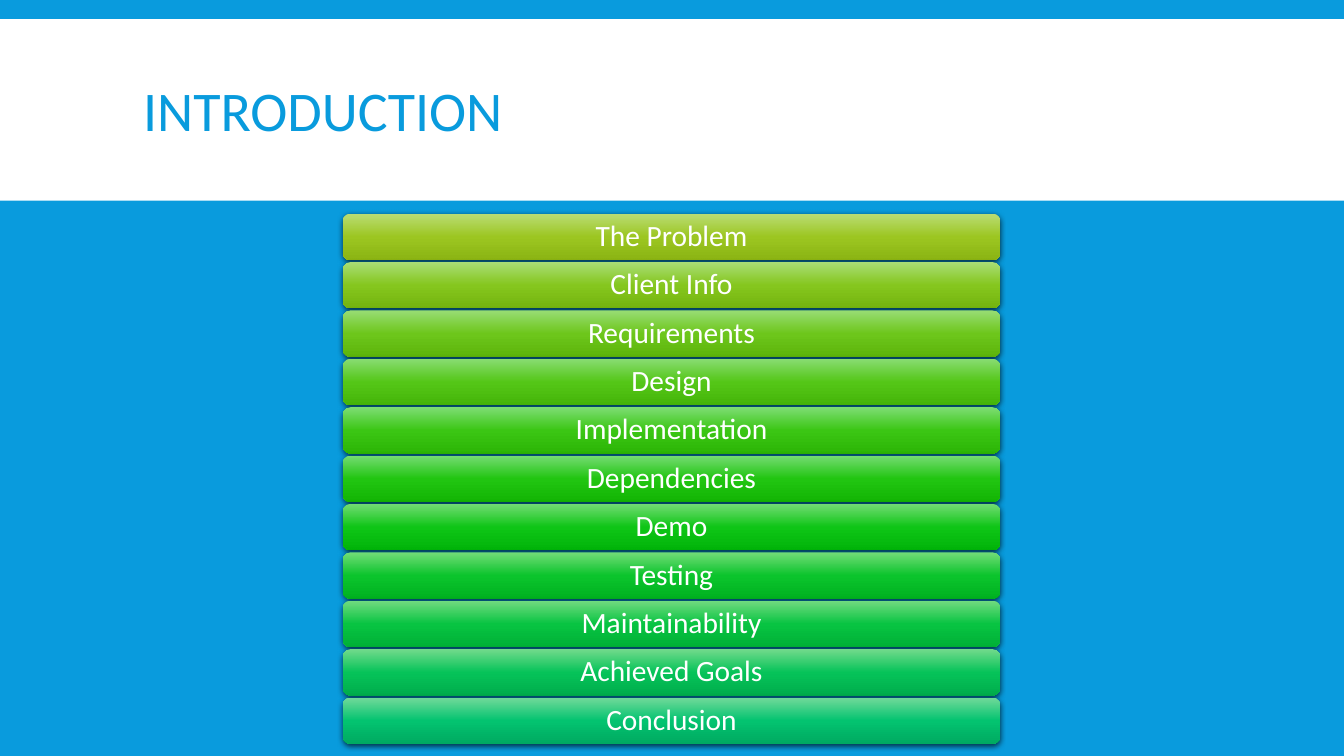
from dataclasses import dataclass

from lxml.etree import SubElement
from pptx import Presentation
from pptx.dml.color import RGBColor
from pptx.enum.shapes import MSO_SHAPE as SHAPE
from pptx.enum.text import MSO_ANCHOR as ANCHOR, PP_ALIGN as ALIGN
from pptx.oxml.ns import qn
from pptx.util import Inches, Pt


@dataclass(frozen=True)
class Theme:
    font: str = "Calibri"
    blue: str = "099BDD"
    white: str = "FFFFFF"
    shadow: str = "000000"
    title_size: int = 40
    bar_size: int = 21


THEME = Theme()
WIDTH, HEIGHT = 13.33, 7.5
PITCH = 0.48
BAR_SHARE = 0.96
TOPICS = [
    ("The Problem", ("BADD75", "9CC621", "8BB413")),
    ("Client Info", ("A9DD75", "85C61E", "74B40F")),
    ("Requirements", ("98DD74", "6DC61B", "5DB50C")),
    ("Design", ("89DD73", "54C617", "45B509")),
    ("Implementation", ("7DDD73", "3BC614", "2CB506")),
    ("Dependencies", ("75DC73", "21C511", "13B504")),
    ("Demo", ("72DC73", "0EC516", "01B409")),
    ("Testing", ("72DC78", "0BC42C", "00B220")),
    ("Maintainability", ("72DB80", "08C442", "00B036")),
    ("Achieved Goals", ("72DA8C", "06C359", "00AD4C")),
    ("Conclusion", ("72DA9A", "03C370", "00AA61")),
]


def place(sp, box):
    sp.left, sp.top, sp.width, sp.height = (Inches(v) for v in box)


def write(sp, text, *, size, color, align=ALIGN.LEFT, spacing=0.9, inset=(0.1, 0.05)):
    tf = sp.text_frame
    tf.word_wrap = True
    tf.vertical_anchor = ANCHOR.MIDDLE
    tf.margin_left = tf.margin_right = Inches(inset[0])
    tf.margin_top = tf.margin_bottom = Inches(inset[1])
    p = tf.paragraphs[0]
    p.alignment = align
    p.line_spacing = spacing
    r = p.add_run()
    r.text = text
    r.font.name = THEME.font
    r.font.size = Pt(size)
    r.font.color.rgb = RGBColor.from_string(color)


def add_block(s, shape, box):
    sp = s.shapes.add_shape(shape, *(Inches(v) for v in box))
    sp.line.fill.background()
    sp.shadow.inherit = False
    return sp


def fill_gradient(sp, colors):
    sp.fill.gradient()
    sp.fill.gradient_angle = 270
    stops = sp._element.spPr.find(".//" + qn("a:gsLst"))
    for gs in list(stops):
        stops.remove(gs)
    for i, color in enumerate(colors):
        gs = SubElement(stops, qn("a:gs"), pos=str(i * 50000))
        SubElement(gs, qn("a:srgbClr"), val=color)


def cast_shadow(sp):
    effects = sp._element.spPr.find(qn("a:effectLst"))
    shadow = SubElement(effects, qn("a:outerShdw"), blurRad=str(Pt(4)),
                        dist=str(Pt(1.2)), dir="5400000", rotWithShape="0")
    color = SubElement(shadow, qn("a:srgbClr"), val=THEME.shadow)
    SubElement(color, qn("a:alpha"), val="68000")


def add_header(s, box, text):
    x, y, w, h = box
    band = add_block(s, SHAPE.RECTANGLE, box)
    band.fill.solid()
    band.fill.fore_color.rgb = RGBColor.from_string(THEME.white)
    title = s.shapes.title
    s.shapes._spTree.append(title._element)
    place(title, (x + 0.099 * w, y + 0.12, 0.803 * w, h - 0.15))
    write(title, text, size=THEME.title_size, color=THEME.blue, spacing=0.85)


def add_topics(s, box, topics):
    x, y, w, h = box
    pitch = h / len(topics)
    for i, (label, colors) in enumerate(topics):
        bar = add_block(s, SHAPE.ROUNDED_RECTANGLE,
                        (x, y + i * pitch, w, BAR_SHARE * pitch))
        fill_gradient(bar, colors)
        cast_shadow(bar)
        write(bar, label, size=THEME.bar_size, color=THEME.white,
              align=ALIGN.CENTER, inset=(0.09, 0.04))


def main():
    prs = Presentation()
    prs.slide_width, prs.slide_height = Inches(WIDTH), Inches(HEIGHT)
    s = prs.slides.add_slide(prs.slide_layouts[5])
    s.background.fill.solid()
    s.background.fill.fore_color.rgb = RGBColor.from_string(THEME.blue)
    add_header(s, (0, 0.19, WIDTH, 0.24 * HEIGHT), "INTRODUCTION")
    add_topics(s, (3.4, 2.12, 6.52, PITCH * len(TOPICS)), TOPICS)
    prs.save("out.pptx")


if __name__ == "__main__":
    main()
